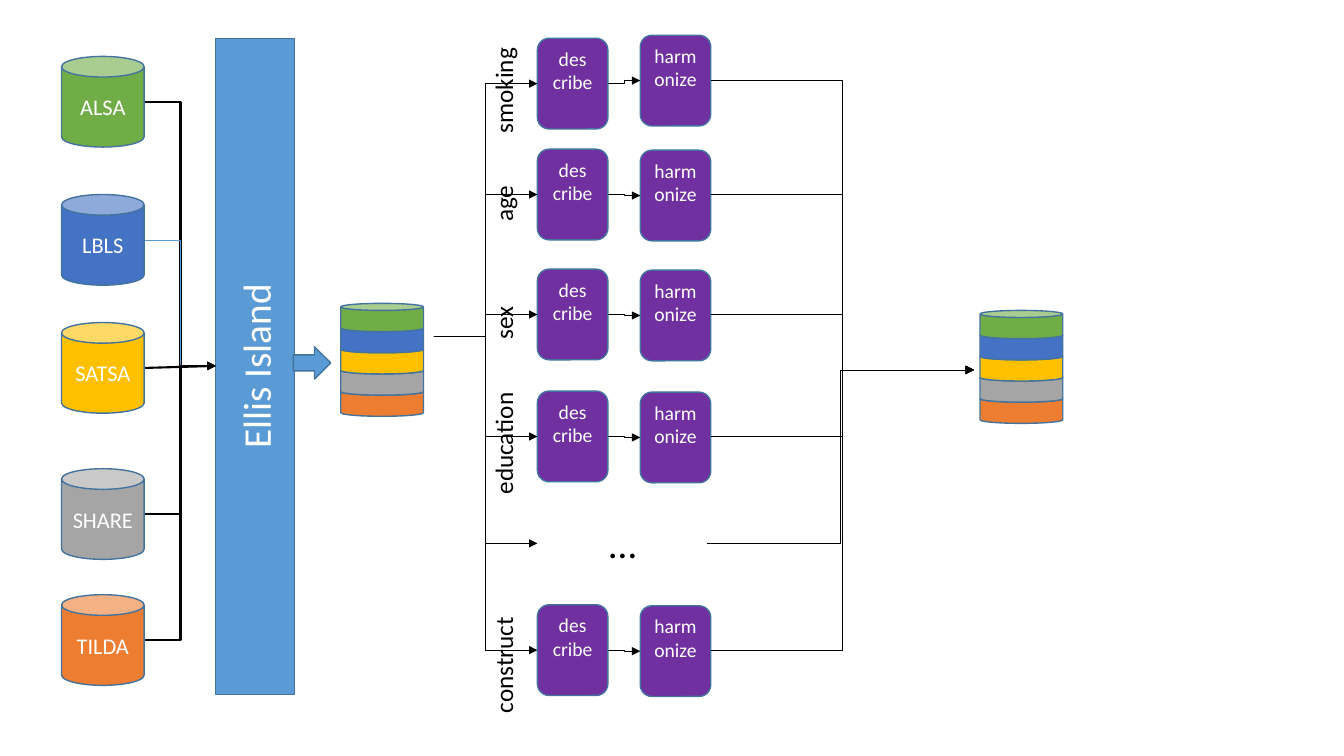
from pptx import Presentation
from pptx.dml.color import RGBColor
from pptx.enum.shapes import MSO_CONNECTOR as Link, MSO_SHAPE as Preset
from pptx.enum.text import MSO_ANCHOR as Anchor, MSO_AUTO_SIZE as AutoSize, PP_ALIGN as Align
from pptx.oxml.ns import qn
from pptx.util import Inches, Pt
from lxml import etree

theme = {
    "font": "Calibri",
    "green": "70AD47", "blue": "4472C4", "gold": "FFC000", "grey": "A5A5A5", "orange": "ED7D31",
    "sky": "5B9BD5", "purple": "7030A0", "outline": "43739E", "black": "000000", "white": "FFFFFF",
    "step_size": 14, "study_size": 16, "label_size": 18, "large_size": 28,
}

presentation = Presentation()
presentation.slide_width, presentation.slide_height = Inches(13.33), Inches(7.5)
slide = presentation.slides.add_slide(presentation.slide_layouts[6])


def add_item(preset, box, fill=None, text="", size="step_size", **frame_format):
    frame = [Inches(value) for value in box]
    if preset is None:
        shape = slide.shapes.add_textbox(*frame)
    else:
        shape = slide.shapes.add_shape(preset, *frame)
        shape.shadow.inherit = False
        shape.fill.solid()
        shape.fill.fore_color.rgb = RGBColor.from_string(theme[fill])
        shape.line.color.rgb = RGBColor.from_string(theme["outline"])
        shape.line.width = Pt(1)
    if text:
        settings = {"word_wrap": True, "vertical_anchor": Anchor.MIDDLE, **frame_format}
        for name, value in settings.items():
            setattr(shape.text_frame, name, value)
        paragraph = shape.text_frame.paragraphs[0]
        paragraph.alignment = Align.CENTER
        run = paragraph.add_run()
        run.text = text
        for name, value in {"name": theme["font"], "size": Pt(theme[size])}.items():
            setattr(run.font, name, value)
        run.font.color.rgb = RGBColor.from_string(theme["white" if fill else "black"])
    return shape


def add_arrow(start, end, color="black", width=0.5, kind=Link.ELBOW):
    points = [Inches(value) for value in (*start, *end)]
    connector = slide.shapes.add_connector(kind, *points)
    connector.line.color.rgb = RGBColor.from_string(theme[color])
    connector.line.width = Pt(width)
    properties = connector.element.spPr
    etree.SubElement(properties.find(qn("a:ln")), qn("a:tailEnd"), type="triangle")
    etree.SubElement(properties, qn("a:effectLst"))


studies = [
    ("ALSA", 0.56, "green"),
    ("LBLS", 1.93, "blue"),
    ("SATSA", 3.2, "gold"),
    ("SHARE", 4.65, "grey"),
    ("TILDA", 5.9, "orange"),
]
constructs = [
    ("smoking", 0.38, 0.35, 0.9, 1.06),
    ("age", 1.48, 1.49, 2.02, 0.57),
    ("sex", 2.67, 2.68, 3.2, 0.53),
    ("education", 3.88, 3.89, 4.4, 1.23),
    ("construct", 6, 6.01, 6.6, 1.16),
]

for study, top, color in studies:
    add_item(Preset.CAN, (0.61, top, 0.82, 0.9), color, study, "study_size")

island = add_item(Preset.RECTANGLE, (2.14, 0.38, 0.78, 6.51), "sky", "Ellis Island", "large_size")
island.element.txBody.bodyPr.set("vert", "vert270")

for construct, describe_top, harmonize_top, label_middle, label_width in constructs:
    for text, left, top in (("des cribe", 5.33, describe_top), ("harmonize", 6.35, harmonize_top)):
        add_item(Preset.ROUNDED_RECTANGLE, (left, top, 0.7, 0.9), "purple", text,
                 vertical_anchor=Anchor.TOP)
    label = add_item(None, (4.99 - label_width / 2, label_middle - 0.2, label_width, 0.4),
                     text=construct, size="label_size", word_wrap=False,
                     vertical_anchor=Anchor.TOP, auto_size=AutoSize.SHAPE_TO_FIT_TEXT)
    label.rotation = 270

add_item(None, (5.33, 5.1, 1.69, 0.57), text="…", size="large_size",
         auto_size=AutoSize.SHAPE_TO_FIT_TEXT)

for study, top, color in studies:
    arrow_format = {
        "LBLS": {"color": "sky"},
        "SATSA": {"width": 1.5, "kind": Link.STRAIGHT},
    }.get(study, {"width": 1.5})
    add_arrow((1.44, top + 0.45), (2.14, 3.63), **arrow_format)

add_item(Preset.RIGHT_ARROW, (2.91, 3.44, 0.37, 0.32), "sky")

pooled, harmonized = (4.3, 3.34), (9.66, 3.67)
for construct, describe_top, harmonize_top, label_middle, label_width in constructs:
    describe_middle, harmonize_middle = describe_top + 0.45, harmonize_top + 0.45
    add_arrow(pooled, (5.33, describe_middle))
    add_arrow((6.03, describe_middle), (6.35, harmonize_middle))
    add_arrow((7.05, min(describe_middle, harmonize_middle)), harmonized)
add_arrow(pooled, (5.33, 5.39))
add_arrow((7.01, 5.39), harmonized)

for left, first_top in ((3.38, 3.01), (9.72, 3.08)):
    for layer, (study, top, color) in reversed(list(enumerate(studies))):
        add_item(Preset.CAN, (left, first_top + 0.21 * layer, 0.82, 0.28), color)

presentation.save("out.pptx")
